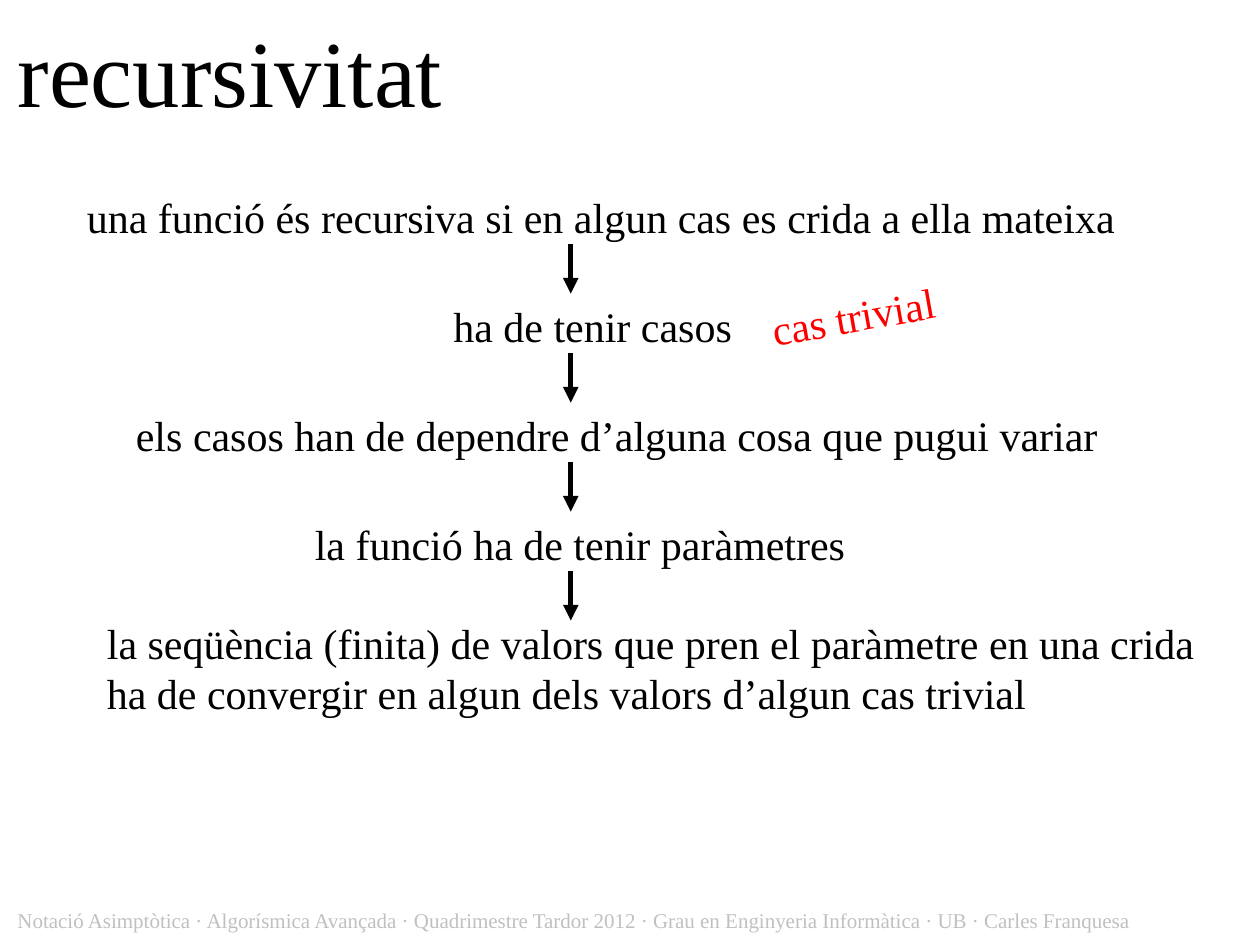
"""Build the slide that explains recursion as a chain of conclusions."""
from dataclasses import dataclass

import pptx
import pptx.dml.color
import pptx.enum.shapes
import pptx.enum.text
import pptx.oxml
import pptx.oxml.ns
import pptx.util


@dataclass(frozen=True)
class Theme:
    font: str = "Times New Roman"
    ink: str = "000000"
    accent: str = "FF0000"
    muted: str = "C0C0C0"
    title_size: int = 54
    body_size: int = 24
    footer_size: int = 12
    arrow_width: int = 3


THEME = Theme()
SLIDE_WIDTH, SLIDE_HEIGHT = 10, 7.5

TITLE = "recursivitat"
FOOTER = (
    "Notació Asimptòtica · Algorísmica Avançada · Quadrimestre Tardor 2012 · "
    "Grau en Enginyeria Informàtica · UB · Carles Franquesa"
)
STEPS = [
    ("una funció és recursiva si en algun cas es crida a ella mateixa", 0.59, 8.51),
    ("ha de tenir casos", 3.5, 2.44),
    ("els casos han de dependre d’alguna cosa que pugui variar", 0.98, 7.88),
    ("la funció ha de tenir paràmetres", 2.4, 4.65),
]
CONCLUSION = (
    "la seqüència (finita) de valors que pren el paràmetre en una crida "
    "ha de convergir en algun dels valors d’algun cas trivial"
)
ASIDE = "cas trivial"

MARGIN = 0.04
ROW_TOP, ROW_PITCH, ROW_HEIGHT = 1.47, 0.865, 0.5
ARROW_X, ARROW_OFFSET, ARROW_LENGTH = 4.53, 0.47, 0.39


def inches(*lengths):
    return [pptx.util.Inches(length) for length in lengths]


def format_text(shape, text, size, color):
    frame = shape.text_frame
    frame.text = text
    frame.word_wrap = True
    frame.auto_size = pptx.enum.text.MSO_AUTO_SIZE.NONE
    frame.vertical_anchor = pptx.enum.text.MSO_ANCHOR.TOP
    paragraph = frame.paragraphs[0]
    paragraph.alignment = pptx.enum.text.PP_ALIGN.LEFT
    paragraph.font.name = THEME.font
    paragraph.font.size = pptx.util.Pt(size)
    paragraph.font.color.rgb = pptx.dml.color.RGBColor.from_string(color)


def add_text(slide, text, box, size=THEME.body_size, color=THEME.ink):
    shape = slide.shapes.add_textbox(*inches(*box))
    format_text(shape, text, size, color)
    return shape


def add_arrow(slide, top):
    connector = slide.shapes.add_connector(
        pptx.enum.shapes.MSO_CONNECTOR.STRAIGHT,
        *inches(ARROW_X, top, ARROW_X, top + ARROW_LENGTH),
    )
    connector.line.width = pptx.util.Pt(THEME.arrow_width)
    connector.line.color.rgb = pptx.dml.color.RGBColor.from_string(THEME.ink)
    head = pptx.oxml.parse_xml(
        f'<a:tailEnd {pptx.oxml.ns.nsdecls("a")} type="triangle"/>'
    )
    connector.line._get_or_add_ln().append(head)
    effects = pptx.oxml.parse_xml(f'<a:effectLst {pptx.oxml.ns.nsdecls("a")}/>')
    connector._element.spPr.append(effects)


def main():
    presentation = pptx.Presentation()
    presentation.slide_width, presentation.slide_height = inches(
        SLIDE_WIDTH, SLIDE_HEIGHT
    )
    slide = presentation.slides.add_slide(presentation.slide_layouts[5])

    title = slide.shapes.title
    title.left, title.top, title.width, title.height = inches(MARGIN, 0.05, 3.7, 1)
    format_text(title, TITLE, THEME.title_size, THEME.ink)
    add_text(
        slide, FOOTER, (MARGIN, 7.15, 9.77, 0.3), THEME.footer_size, THEME.muted
    )

    for row, (text, left, width) in enumerate(STEPS):
        top = ROW_TOP + row * ROW_PITCH
        add_text(slide, text, (left, top, width, ROW_HEIGHT))
        add_arrow(slide, top + ARROW_OFFSET)

    add_text(slide, CONCLUSION, (0.75, 4.85, 8.98, 0.9))
    aside = add_text(slide, ASIDE, (6.02, 2.25, 1.57, ROW_HEIGHT), color=THEME.accent)
    aside.rotation = 350

    presentation.save("out.pptx")


if __name__ == "__main__":
    main()
